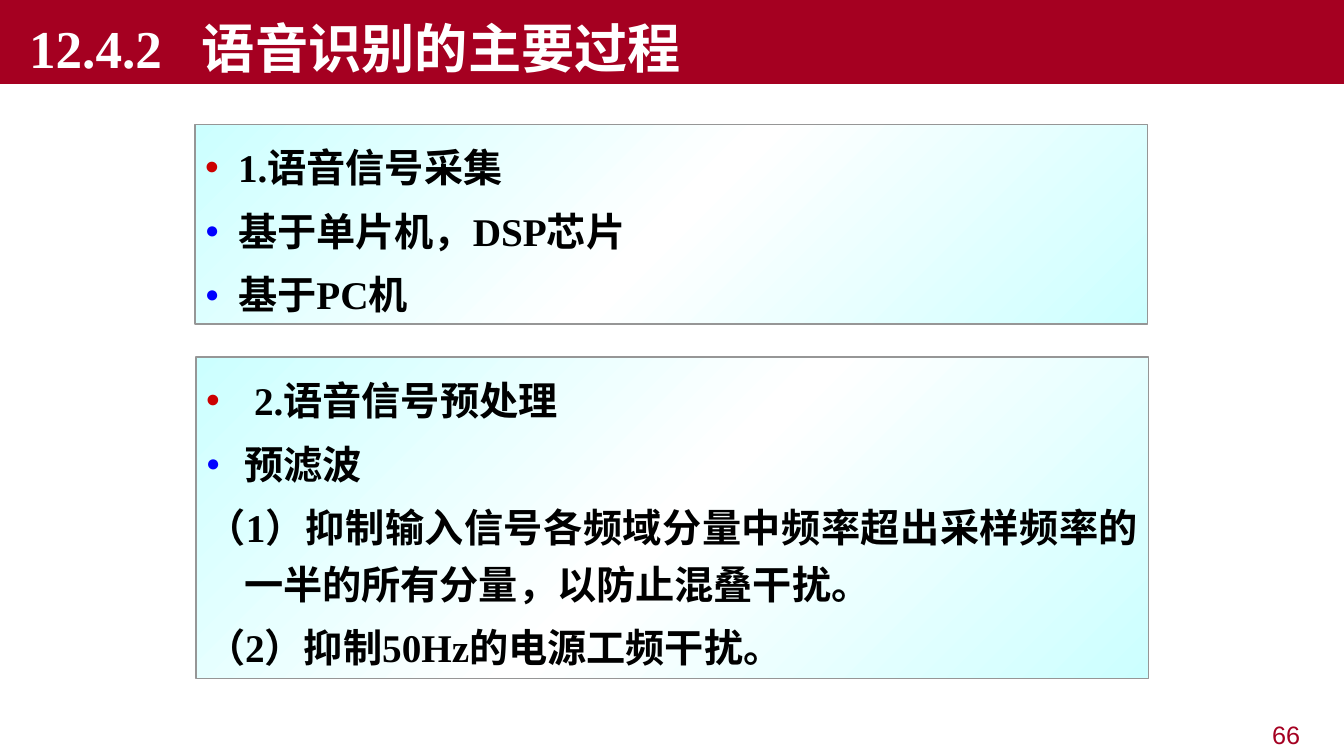
from lxml import etree
from pptx import Presentation
from pptx import util as u
from pptx.dml.color import RGBColor
from pptx.enum import text
from pptx.oxml import parse_xml
from pptx.oxml.ns import nsdecls, qn

PX = 914400 / 100.8
RED, CYAN, WHITE = "A50021", "CCFFFF", "FFFFFF"
color = RGBColor.from_string


def px(length):
    return u.Emu(round(length * PX))


def write(paragraph, content, name, size, hue, bold):
    run = paragraph.add_run()
    run.text = content
    values = {"name": name, "size": u.Pt(size), "bold": bold}
    for key, value in values.items():
        setattr(run.font, key, value)
    run.font.color.rgb = color(hue)


presentation = Presentation()
presentation.slide_width, presentation.slide_height = px(1344), px(756)
slide = presentation.slides.add_slide(presentation.slide_layouts[3])
title, *bodies = slide.placeholders

# Title band
title.left, title.top, title.width, title.height = px(0), px(0), px(1344), px(84)
title.fill.solid()
title.fill.fore_color.rgb = color(RED)
frame_format = {
    "margin_left": px(29), "margin_top": px(5), "margin_bottom": px(5),
    "vertical_anchor": text.MSO_ANCHOR.BOTTOM, "word_wrap": True,
    "auto_size": text.MSO_AUTO_SIZE.NONE,
}
for key, value in frame_format.items():
    setattr(title.text_frame, key, value)
paragraph = title.text_frame.paragraphs[0]
paragraph.alignment = text.PP_ALIGN.LEFT
tabs = etree.SubElement(paragraph._p.get_or_add_pPr(), qn("a:tabLst"))
etree.SubElement(tabs, qn("a:tab"), pos=str(px(173)), algn="l")
write(paragraph, "12.4.2\t语音识别的主要过程", "Times New Roman", 38, WHITE, True)

# Bullet styles: character, colour, size in percent
HEAD, ITEM, PLAIN = ("•", "CC0000", 100), ("●", "0000FF", 60), None

# Panels: left, top, height, then (text, bullet, hanging indent)
panels = [
    (195, 124, 200, [
        ("1.语音信号采集", HEAD, 33),
        ("基于单片机，DSP芯片", ITEM, 33),
        ("基于PC机", ITEM, 33),
    ]),
    (196, 357, 322, [
        ("2.语音信号预处理", HEAD, 48),
        ("预滤波", ITEM, 38),
        ("（1）抑制输入信号各频域分量中频率超出采样频率的一半的所有分量，以防止混叠干扰。", PLAIN, 38),
        ("（2）抑制50Hz的电源工频干扰。", PLAIN, 38),
    ]),
]
for body, (left, top, height, items) in zip(bodies, panels):
    body.left, body.top, body.width, body.height = px(left), px(top), px(953), px(height)
    stops = "".join(
        f'<a:gs pos="{position}"><a:srgbClr val="{hue}"/></a:gs>'
        for position, hue in ((0, CYAN), (50000, WHITE), (100000, CYAN)))
    body._element.spPr.append(parse_xml(
        f'<a:gradFill {nsdecls("a")} rotWithShape="1"><a:gsLst>{stops}</a:gsLst>'
        '<a:lin ang="2700000" scaled="1"/></a:gradFill>'))
    body.line.color.rgb = color("969696")
    body.line.width = u.Pt(0.75)
    frame = body.text_frame
    panel_format = {
        "margin_top": px(10), "margin_bottom": px(0), "word_wrap": True,
        "vertical_anchor": text.MSO_ANCHOR.TOP,
        "auto_size": text.MSO_AUTO_SIZE.NONE,
    }
    for key, value in panel_format.items():
        setattr(frame, key, value)
    for index, (content, bullet, indent) in enumerate(items):
        paragraph = frame.add_paragraph() if index else frame.paragraphs[0]
        paragraph.alignment = text.PP_ALIGN.JUSTIFY
        paragraph.line_spacing = 1.2
        paragraph.space_before = u.Pt(5 if index else 0)
        properties = paragraph._p.get_or_add_pPr()
        properties.set("marL", str(px(indent)))
        properties.set("indent", str(-px(indent)))
        if bullet:
            character, hue, percent = bullet
            bullet_color = etree.SubElement(properties, qn("a:buClr"))
            etree.SubElement(bullet_color, qn("a:srgbClr"), val=hue)
            etree.SubElement(properties, qn("a:buSzPct"), val=str(percent * 1000))
            etree.SubElement(properties, qn("a:buFont"), typeface="Arial")
            etree.SubElement(properties, qn("a:buChar"), char=character)
        else:
            etree.SubElement(properties, qn("a:buNone"))
        write(paragraph, content, "Times New Roman", 28, "000000", True)

# Page number
number = slide.shapes.add_textbox(px(1019), px(714), px(291), px(39))
number.text_frame.word_wrap = True
paragraph = number.text_frame.paragraphs[0]
paragraph.alignment = text.PP_ALIGN.RIGHT
write(paragraph, "66", "Arial", 18, RED, False)

presentation.save("out.pptx")
